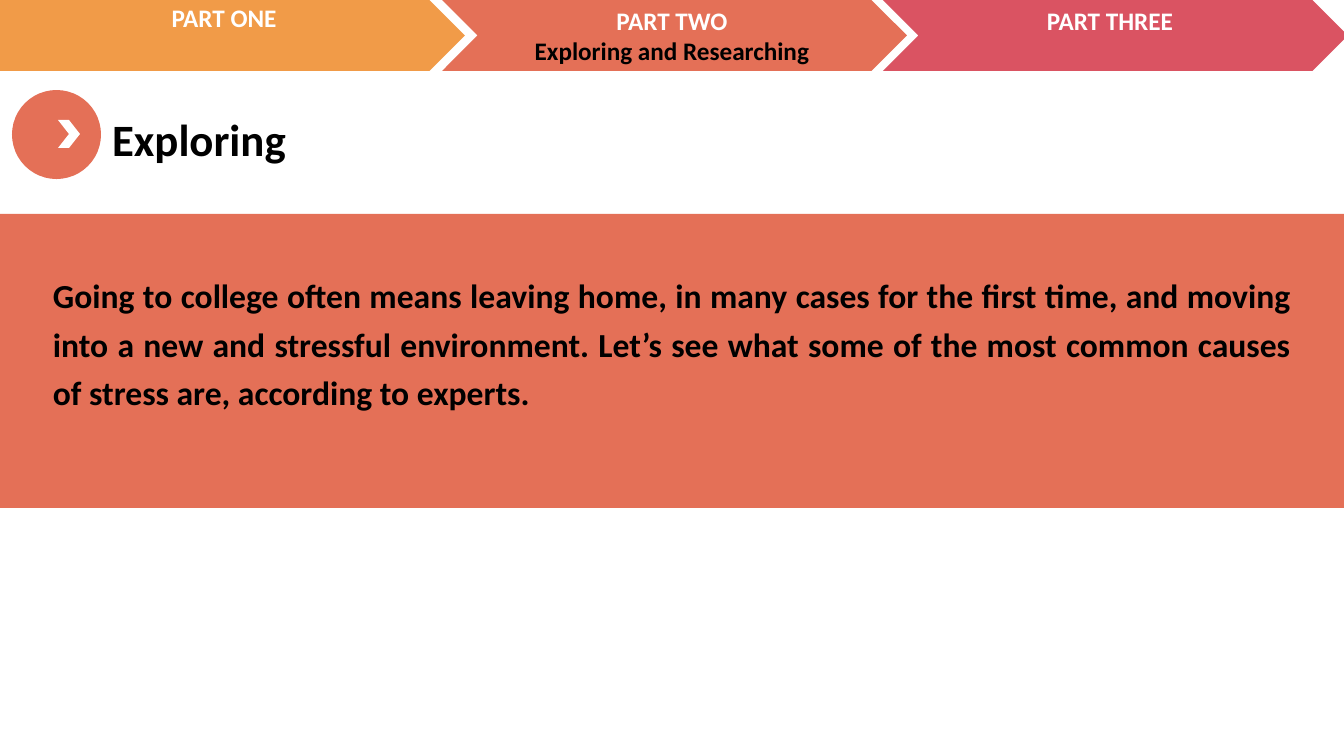
from pptx import Presentation
from pptx.dml.color import RGBColor
from pptx.enum.shapes import MSO_SHAPE as Preset
from pptx.enum.text import MSO_ANCHOR as Anchor, MSO_AUTO_SIZE as AutoSize, PP_ALIGN as Align
from pptx.util import Emu, Pt

COLOURS = {
    "orange": "F19B48",
    "coral": "E47057",
    "rose": "DA5362",
    "white": "FFFFFF",
    "black": "000000",
}
FONT = "Calibri"
PX = 914400 / 100.8
TITLE_ONLY = 5


def colour(name):
    return RGBColor.from_string(COLOURS[name])


def px(*lengths):
    return [Emu(round(length * PX)) for length in lengths]


def write(frame, lines, size=18, align=Align.CENTER, spacing=1.0):
    """Fill a text frame with bold lines, each a (text, colour name) pair."""
    frame.word_wrap = True
    frame.auto_size = AutoSize.NONE
    frame.vertical_anchor = Anchor.TOP
    for index, (text, tint) in enumerate(lines):
        para = frame.add_paragraph() if index else frame.paragraphs[0]
        para.alignment = align
        para.line_spacing = spacing
        span = para.add_run()
        span.text = text
        span.font.name = FONT
        span.font.size = Pt(size)
        span.font.bold = True
        span.font.color.rgb = colour(tint)


class SlideBuilder:
    def __init__(self, deck):
        self.page = deck.slides.add_slide(deck.slide_layouts[TITLE_ONLY])

    def title(self, text, bounds, **style):
        box = self.page.shapes.title
        box.left, box.top, box.width, box.height = px(*bounds)
        write(box.text_frame, [(text, "black")], **style)

    def shape(self, preset, bounds, fill, corner=None):
        shape = self.page.shapes.add_shape(preset, *px(*bounds))
        shape.shadow.inherit = False
        shape.fill.solid()
        shape.fill.fore_color.rgb = colour(fill)
        shape.line.fill.background()
        if corner is not None:
            shape.adjustments[0] = corner

    def text(self, bounds, lines, **style):
        box = self.page.shapes.add_textbox(*px(*bounds))
        write(box.text_frame, lines, **style)


def main():
    deck = Presentation()
    deck.slide_width, deck.slide_height = px(1344, 756)
    slide = SlideBuilder(deck)

    # Progress banner: chevron left and width, label left and top
    banner = [
        ("orange", -61, 526, -6, -3, [("PART ONE", "white")]),
        ("coral", 442, 465, 442, 0,
         [("PART TWO", "white"), ("Exploring and Researching", "black")]),
        ("rose", 883, 465, 880, 0, [("PART THREE", "white")]),
    ]
    for fill, left, width, label_left, label_top, lines in banner:
        slide.shape(Preset.CHEVRON, (left, 0, width, 71), fill)
        slide.text((label_left, label_top, 460, 71), lines)

    # Heading with its round marker
    slide.shape(Preset.OVAL, (12, 90, 89, 89), "coral")
    slide.shape(Preset.CHEVRON, (58, 120, 22, 28), "white")
    slide.title("Exploring", (102, 107, 489, 64), size=32, align=Align.LEFT)

    # Message band
    slide.shape(Preset.ROUNDED_RECTANGLE, (-42, 214, 1437, 294), "coral", corner=0.08)
    message = (
        "Going to college often means leaving home, in many cases for the first time, "
        "and moving into a new and stressful environment. Let’s see what some of the "
        "most common causes of stress are, according to experts."
    )
    slide.text((43, 262, 1258, 153), [(message, "black")],
               size=24, align=Align.JUSTIFY, spacing=1.2)

    deck.save("out.pptx")


if __name__ == "__main__":
    main()
